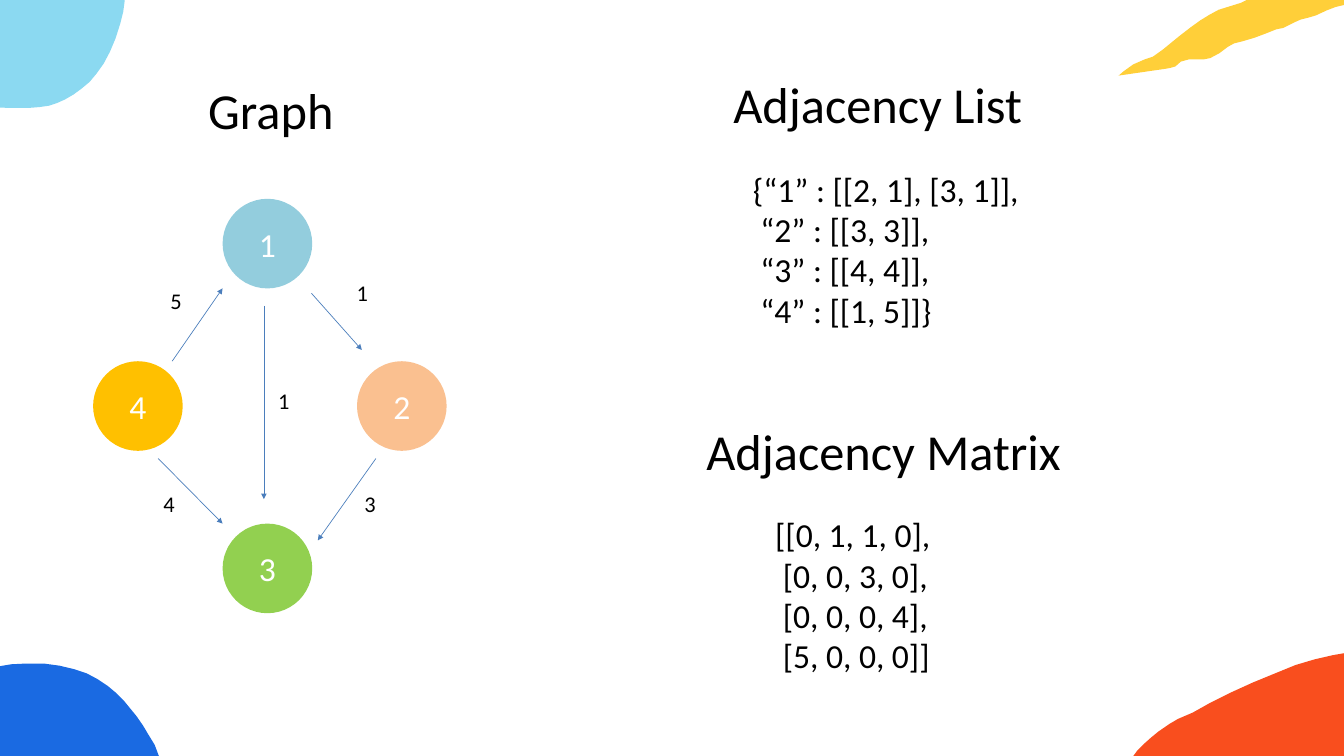
from pptx import Presentation
from pptx.dml.color import RGBColor
from pptx.enum.shapes import MSO_CONNECTOR, MSO_SHAPE
from pptx.enum.text import MSO_ANCHOR, MSO_AUTO_SIZE, PP_ALIGN
from pptx.oxml.ns import qn
from pptx.util import Pt
from lxml.etree import SubElement

SCALE = 9525  # EMU in one px
WIDE, HIGH = 1920, 1080
NODE = 128
HEX = {
    "black": "000000", "white": "FFFFFF", "edge": "4B7EBC",
    "teal": "93CDDD", "peach": "FAC090", "green": "92D050", "gold": "FFC000",
    "red": "F94E1E", "yellow": "FFCF39", "blue": "1A6AE2", "cyan": "8BD9F1",
}

# Corner blobs: colour, left, top, outline from that corner
BLOBS = [
    ("red", 1598, 932, [
        (0, 180), (10, 163), (18, 152), (27, 140), (36, 131), (46, 122),
        (57, 113), (73, 102), (85, 95), (106, 86), (131, 72), (159, 58),
        (192, 43), (226, 29), (253, 18), (280, 10), (306, 4), (329, 0),
        (345, 0), (354, 1), (354, 180)]),
    ("yellow", 1598, -47, [
        (0, 155), (7, 149), (21, 139), (37, 132), (49, 128), (63, 118),
        (85, 100), (103, 86), (117, 76), (130, 68), (143, 61), (159, 56),
        (175, 51), (191, 43), (205, 35), (216, 27), (230, 22), (255, 13),
        (301, 0), (416, 0), (416, 41), (331, 52), (310, 57), (297, 62),
        (282, 69), (272, 72), (260, 75), (251, 79), (235, 87), (225, 89),
        (210, 95), (194, 101), (177, 106), (165, 109), (156, 114),
        (144, 123), (131, 130), (121, 132), (110, 132), (100, 132),
        (89, 135), (81, 142), (74, 144), (69, 145)]),
    ("blue", -48, 948, [
        (0, 210), (0, 14), (20, 10), (40, 5), (64, 1), (84, 0), (111, 0),
        (133, 3), (154, 8), (172, 14), (187, 22), (202, 32), (214, 42),
        (225, 53), (234, 64), (243, 75), (252, 88), (261, 103), (269, 116),
        (275, 132), (279, 150), (285, 174), (289, 210)]),
    ("cyan", -72, -53, [
        (0, 202), (0, 0), (242, 0), (247, 16), (250, 35), (250, 55),
        (248, 70), (244, 86), (237, 108), (229, 127), (220, 144),
        (210, 158), (200, 170), (188, 180), (177, 188), (165, 195),
        (154, 200), (142, 204), (128, 206), (115, 207), (81, 207),
        (59, 206), (24, 204)]),
]

# Graph nodes: label, colour, left, top
NODES = [
    ("1", "teal", 185, 0), ("3", "green", 185, 464),
    ("4", "gold", 0, 232), ("2", "peach", 377, 232),
]

# Graph edges: weight, start, end, corner of the weight's box
EDGES = [
    ("5", (113, 232), (185, 128), (100, 122)),
    ("1", (312, 135), (384, 216), (366, 110)),
    ("4", (93, 371), (185, 464), (90, 411)),
    ("3", (404, 371), (321, 488), (377, 411)),
    ("1", (244, 153), (244, 429), (254, 264)),
]

LIST = ["{“1” : [[2, 1], [3, 1]],", " “2” : [[3, 3]],",
        " “3” : [[4, 4]],", " “4” : [[1, 5]]}"]
MATRIX = ["[[0, 1, 1, 0],", " [0, 0, 3, 0],", " [0, 0, 0, 4],", " [5, 0, 0, 0]]"]


def emu(*nums):
    return [num * SCALE for num in nums]


def rgb(name):
    return RGBColor.from_string(HEX[name])


def paint(shape, color):
    shape.shadow.inherit = False
    shape.fill.solid()
    shape.fill.fore_color.rgb = rgb(color)
    shape.line.fill.background()


def write(shape, *lines, size=36, color="black", align=PP_ALIGN.CENTER,
          anchor=MSO_ANCHOR.TOP, wrap=False):
    frame = shape.text_frame
    frame.auto_size = MSO_AUTO_SIZE.NONE
    frame.word_wrap = wrap
    frame.vertical_anchor = anchor
    for i, line in enumerate(lines):
        para = frame.add_paragraph() if i else frame.paragraphs[0]
        para.alignment = align
        run = para.add_run()
        run.text = line
        run.font.name = "Calibri"
        run.font.size = Pt(size)
        run.font.color.rgb = rgb(color)


def blob(slide, color, left, top, points):
    pen = slide.shapes.build_freeform(*points[0], scale=SCALE)
    pen.add_line_segments(points[1:], close=True)
    paint(pen.convert_to_shape(*emu(left, top)), color)


def arrow(parts, start, end):
    line = parts.add_connector(MSO_CONNECTOR.STRAIGHT, *emu(*start, *end))
    line.line.color.rgb = rgb("edge")
    line.line.width = Pt(0.75)
    SubElement(line.line._get_or_add_ln(), qn("a:tailEnd"), type="triangle")
    SubElement(line._element.spPr, qn("a:effectLst"))


def graph(slide, left, top):
    parts = slide.shapes.add_group_shape().shapes

    def move(x, y):
        return left + x, top + y

    # Nodes
    for label, color, x, y in NODES:
        node = parts.add_shape(MSO_SHAPE.OVAL, *emu(*move(x, y), NODE, NODE))
        paint(node, color)
        write(node, label, color="white", anchor=MSO_ANCHOR.MIDDLE, wrap=True)
    # Edges and their weights
    for weight, start, end, spot in EDGES:
        arrow(parts, move(*start), move(*end))
        write(parts.add_textbox(*emu(*move(*spot), 37, 48)), weight, size=24)


def head(slide, text, left, top, width):
    box = slide.shapes.add_textbox(*emu(left, top, width, 97))
    write(box, text, size=54)


def code(slide, lines, left, top, height):
    box = slide.shapes.add_textbox(*emu(left, top, 478, height))
    write(box, *lines, align=PP_ALIGN.LEFT, wrap=True)


def title(slide, text, left, top, width):
    box = slide.shapes.title
    box.left, box.top, box.width, box.height = emu(left, top, width, 97)
    write(box, text, size=54)


def main():
    deck = Presentation()
    deck.slide_width, deck.slide_height = emu(WIDE, HIGH)
    slide = deck.slides.add_slide(deck.slide_layouts[5])
    # Corners
    for item in BLOBS:
        blob(slide, *item)
    # Left: the graph
    title(slide, "Graph", 276, 108, 222)
    graph(slide, 133, 284)
    # Right: its two notations
    head(slide, "Adjacency List", 1010, 100, 488)
    code(slide, LIST, 1066, 236, 272)
    head(slide, "Adjacency Matrix", 976, 596, 573)
    code(slide, MATRIX, 1098, 730, 242)
    deck.save("out.pptx")


if __name__ == "__main__":
    main()
